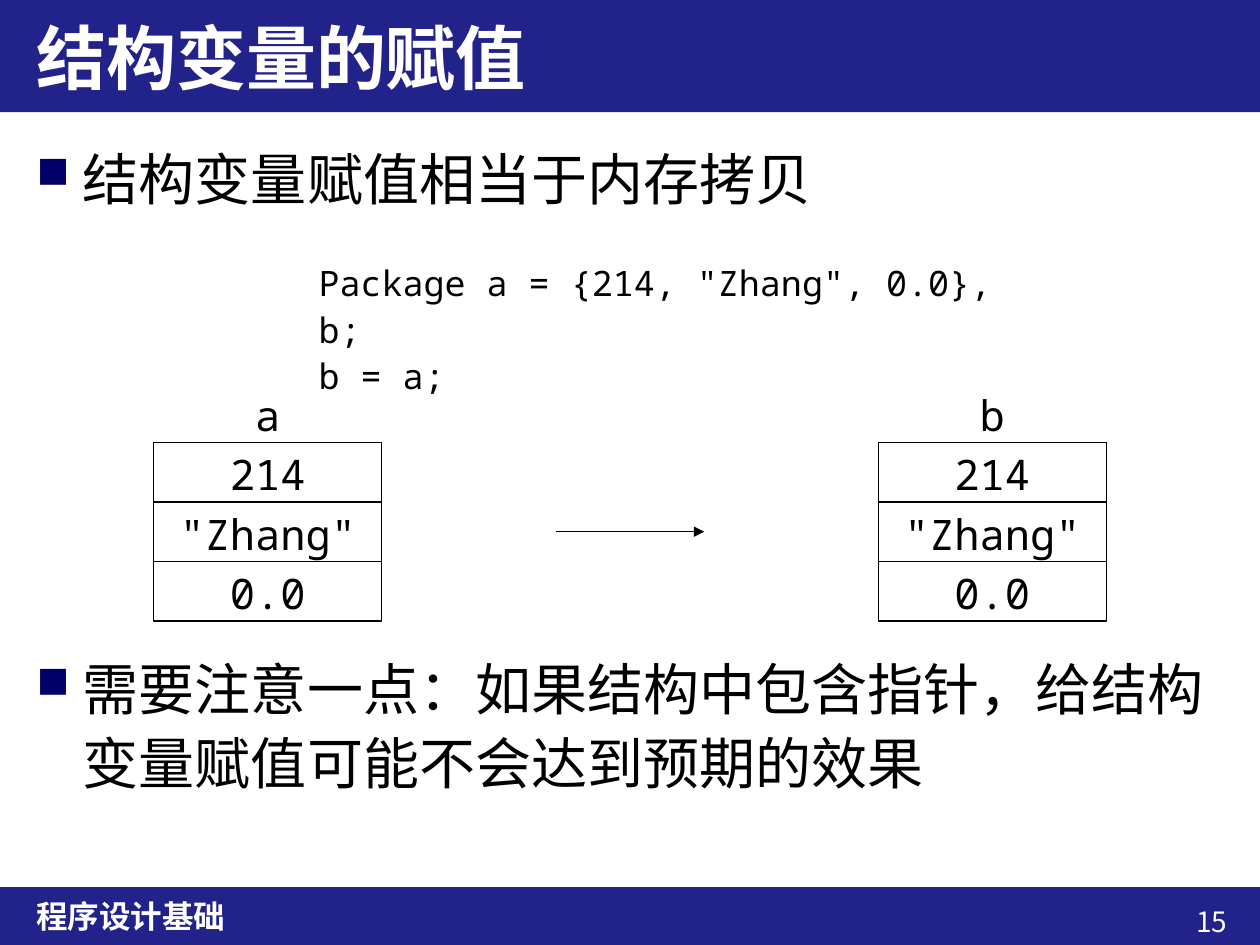
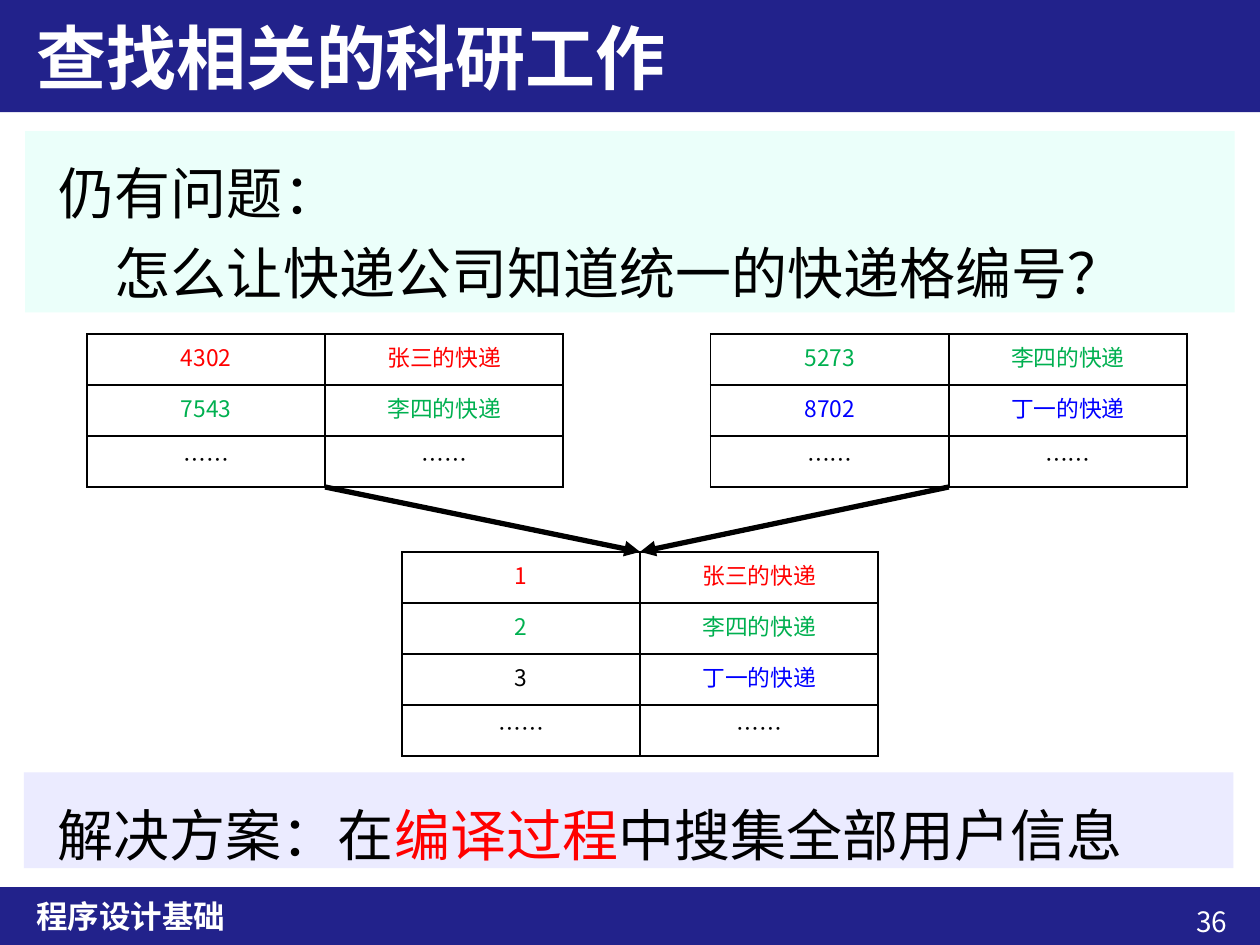
from dataclasses import dataclass

from lxml import etree
from pptx import Presentation
from pptx.dml.color import RGBColor
from pptx.enum.lang import MSO_LANGUAGE_ID
from pptx.enum.shapes import MSO_CONNECTOR, MSO_SHAPE
from pptx.enum.text import MSO_ANCHOR, PP_ALIGN
from pptx.oxml.ns import qn
from pptx.util import Inches, Pt

RECT, STRAIGHT = MSO_SHAPE.RECTANGLE, MSO_CONNECTOR.STRAIGHT
TOP, MIDDLE = MSO_ANCHOR.TOP, MSO_ANCHOR.MIDDLE
LEFT, CENTER, RIGHT = PP_ALIGN.LEFT, PP_ALIGN.CENTER, PP_ALIGN.RIGHT
CHINESE = MSO_LANGUAGE_ID.SIMPLIFIED_CHINESE


@dataclass(frozen=True)
class Theme:
    # Colours
    band: str = "22228B"
    bullet: str = "000066"
    question: str = "EBFFFA"
    answer: str = "EBEBFF"
    white: str = "FFFFFF"
    black: str = "000000"
    red: str = "FF0000"
    green: str = "00B050"
    blue: str = "0000FF"
    # Fonts
    sans: str = "Noto Sans CJK SC"
    body: str = "Arial"
    mono: str = "Noto Sans Mono"
    # Type sizes
    title_size: int = 40
    body_size: int = 32
    field_size: int = 24
    code_size: int = 20
    footer_size: int = 18
    number_size: int = 16
    cell_size: int = 13


T = Theme()
COURSE = "程序设计基础"
ELLIPSIS = "……"


# Basic parts

def add_xml(parent, tag, **attrs):
    return etree.SubElement(parent, qn(tag), attrs)


def add_run(p, text, size, font=T.sans, color=T.black, bold=False):
    r = p.add_run()
    r.text = text
    formats = {"size": Pt(size), "name": font, "bold": bold, "language_id": CHINESE}
    for name, value in formats.items():
        setattr(r.font, name, value)
    r.font.color.rgb = RGBColor.from_string(color)
    add_xml(r.font._element, "a:ea", typeface=T.mono if font == T.mono else T.sans)


def add_text(s, box, lines, size, font=T.sans, color=T.black, bold=False,
             align=LEFT, anchor=TOP, spacing=None):
    """Each line is a string or a list of (text, colour) pairs."""
    tf = s.shapes.add_textbox(*map(Inches, box)).text_frame
    tf.word_wrap, tf.vertical_anchor = True, anchor
    for i, line in enumerate(lines):
        p = tf.paragraphs[0] if i == 0 else tf.add_paragraph()
        p.alignment = align
        if spacing:
            p.line_spacing = Pt(spacing)
        for text, run_color in [(line, color)] if isinstance(line, str) else line:
            add_run(p, text, size, font, run_color, bold)
    return tf


def add_rect(s, box, fill, line=None):
    sp = s.shapes.add_shape(RECT, *map(Inches, box))
    sp.shadow.inherit = False
    sp.fill.solid()
    sp.fill.fore_color.rgb = RGBColor.from_string(fill)
    if line:
        sp.line.color.rgb = RGBColor.from_string(line)
        sp.line.width = Pt(0.75)
    else:
        sp.line.fill.background()
    return sp


def add_arrow(s, start, end, width):
    c = s.shapes.add_connector(STRAIGHT, *map(Inches, (*start, *end)))
    c.line.color.rgb = RGBColor.from_string(T.black)
    c.line.width = Pt(width)
    add_xml(c.line._get_or_add_ln(), "a:tailEnd", type="triangle")
    add_xml(c._element.spPr, "a:effectLst")


# Shared frame: title band, footer band, slide number

def add_frame(prs, title, number):
    s = prs.slides.add_slide(prs.slide_layouts[6])
    bands = [((0, 0, 10, 0.89), title, T.title_size),
             ((0, 7.04, 10, 0.46), COURSE, T.footer_size)]
    for box, text, size in bands:
        add_rect(s, box, T.band)
        _, y, _, h = box
        add_text(s, (0.19, y, 9.6, h), [text], size, color=T.white, bold=True,
                 anchor=MIDDLE)
    add_text(s, (8.59, 7.13, 1.25, 0.37), [str(number)], T.number_size,
             color=T.white, align=RIGHT)
    return s


# Regions

def add_bullet(s, box, text):
    tf = add_text(s, box, [text], T.body_size, T.body, spacing=42.3)
    p = tf.paragraphs[0]
    p.space_before = Pt(6.4)
    pPr = p._p.get_or_add_pPr()
    pPr.set("marL", str(Inches(0.37)))
    pPr.set("indent", str(Inches(-0.37)))
    add_xml(add_xml(pPr, "a:buClr"), "a:srgbClr", val=T.bullet)
    add_xml(pPr, "a:buSzPct", val="80000")
    add_xml(pPr, "a:buChar", char="■")


def add_struct(s, box, name, fields):
    """A variable name above a stack of its field values."""
    x, y, w, h = box
    step = h / (len(fields) + 1)
    for i, text in enumerate([name, *fields]):
        sp = add_rect(s, (x, y + i * step, w, step), T.white, T.black if i else None)
        tf = sp.text_frame
        tf.vertical_anchor = TOP
        tf.paragraphs[0].alignment = CENTER
        add_run(tf.paragraphs[0], text, T.field_size, T.mono)


def set_borders(cell):
    tcPr = cell._tc.get_or_add_tcPr()
    for i, side in enumerate(("a:lnL", "a:lnR", "a:lnT", "a:lnB")):
        ln = add_xml(tcPr, side, w=str(Pt(1)))
        add_xml(add_xml(ln, "a:solidFill"), "a:srgbClr", val=T.black)
        tcPr.insert(i, ln)  # borders precede the fill


def add_parcels(s, box, rows):
    """Rows hold (number, number colour, parcel, parcel colour)."""
    x, y, w, row_h = box
    tbl = s.shapes.add_table(len(rows), 2, *map(Inches, (x, y, w, row_h * len(rows)))).table
    tbl.first_row = tbl.horz_banding = False
    for i, (number, number_color, parcel, parcel_color) in enumerate(rows):
        tbl.rows[i].height = Inches(row_h)
        for j, (text, color) in enumerate([(number, number_color), (parcel, parcel_color)]):
            cell = tbl.cell(i, j)
            cell.fill.background()
            set_borders(cell)
            p = cell.text_frame.paragraphs[0]
            p.alignment = CENTER
            add_run(p, text, T.cell_size, color=color)


# Slides

def add_assignment_slide(prs):
    s = add_frame(prs, "结构变量的赋值", 15)
    add_bullet(s, (0.19, 1.04, 9.6, 0.8), "结构变量赋值相当于内存拷贝")
    add_bullet(s, (0.19, 5.09, 9.6, 1.4),
               "需要注意一点：如果结构中包含指针，给结构变量赋值可能不会达到预期的效果")
    for name, x in (("a", 1.22), ("b", 6.97)):
        add_struct(s, (x, 3.04, 1.81, 1.89), name, ["214", '"Zhang"', "0.0"])
    add_text(s, (2.43, 1.99, 5.88, 0.82),
             ['Package a = {214, "Zhang", 0.0}, b;', "b = a;"],
             T.code_size, T.mono, spacing=26.6)
    add_arrow(s, (4.41, 4.22), (5.59, 4.22), 0.75)


def add_numbering_slide(prs):
    s = add_frame(prs, "查找相关的科研工作", 36)

    # Question and answer panels
    add_rect(s, (0.19, 6.13, 9.6, 0.76), T.answer)
    add_rect(s, (0.2, 1.04, 9.6, 1.44), T.question)
    tf = add_text(s, (0.37, 1.1, 9.26, 1.32),
                  ["仍有问题：", "怎么让快递公司知道统一的快递格编号？"],
                  T.body_size, T.body, spacing=46)
    tf.paragraphs[1]._p.get_or_add_pPr().set("marL", str(Pt(T.body_size)))
    add_text(s, (0.36, 6.2, 9.27, 0.62),
             [[("解决方案：在", T.black), ("编译过程", T.red),
               ("中搜集全部用户信息", T.black)]],
             T.body_size, T.body, spacing=46)

    # Two local tables feeding the merged one
    zhang = ("张三的快递", T.red)
    li = ("李四的快递", T.green)
    ding = ("丁一的快递", T.blue)
    more = (ELLIPSIS, T.black, ELLIPSIS, T.black)
    w, row_h = 3.78, 0.405
    local_y, merged_x, merged_y = 2.65, 3.19, 4.38
    local_tables = [
        (0.69, [("4302", T.red, *zhang), ("7543", T.green, *li), more]),
        (5.64, [("5273", T.green, *li), ("8702", T.blue, *ding), more]),
    ]
    for x, rows in local_tables:
        add_parcels(s, (x, local_y, w, row_h), rows)
    add_parcels(s, (merged_x, merged_y, w, row_h),
                [("1", T.red, *zhang), ("2", T.green, *li), ("3", T.black, *ding), more])
    for x, rows in local_tables:
        add_arrow(s, (x + w / 2, local_y + row_h * len(rows)),
                  (merged_x + w / 2, merged_y), 3)


def main():
    prs = Presentation()
    prs.slide_width, prs.slide_height = Inches(10), Inches(7.5)
    add_assignment_slide(prs)
    add_numbering_slide(prs)
    prs.save("out.pptx")


if __name__ == "__main__":
    main()
